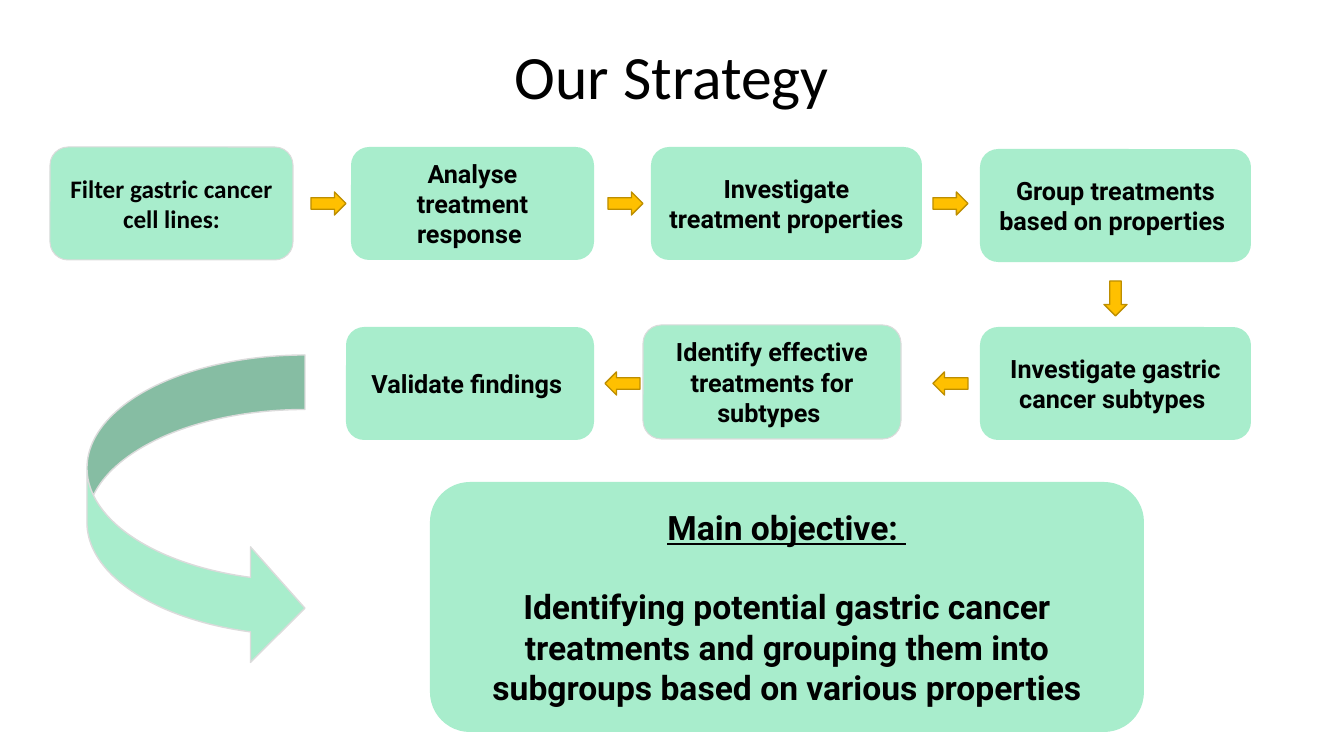
from dataclasses import dataclass

from pptx import Presentation
from pptx import util as u
from pptx.dml.color import RGBColor
from pptx.enum import shapes, text

SCALE = 914400 / 100.8


@dataclass(frozen=True)
class Theme:
    ink: str = "000000"
    mint: str = "A8EDCC"
    edge: str = "DBDBDB"
    amber: str = "FFC000"
    amber_edge: str = "BD8E00"
    title_font: str = "Calibri"
    body_font: str = "Roboto"
    title_size: int = 44
    objective_size: int = 24
    step_size: int = 18


T = Theme()
SHAPE = shapes.MSO_SHAPE


def add_filled(kind, box, fill, edge=None, weight=1):
    sp = s.shapes.add_shape(kind, *(u.Emu(round(v * SCALE)) for v in box))
    sp.shadow.inherit = False
    sp.fill.solid()
    sp.fill.fore_color.rgb = RGBColor.from_string(fill)
    if edge:
        sp.line.color.rgb = RGBColor.from_string(edge)
        sp.line.width = u.Pt(weight)
    else:
        sp.line.fill.background()
    return sp


def set_text(sp, content, font, size, bold=True, anchor=text.MSO_ANCHOR.MIDDLE):
    tf = sp.text_frame
    tf.text = content
    tf.word_wrap = True
    tf.auto_size = text.MSO_AUTO_SIZE.NONE
    tf.vertical_anchor = anchor
    tf.margin_left = tf.margin_right = tf.margin_top = tf.margin_bottom = u.Emu(round(13 * SCALE))
    for p in tf.paragraphs:
        p.alignment = text.PP_ALIGN.CENTER
        for r in p.runs:
            r.font.name = font
            r.font.size = u.Pt(size)
            r.font.bold = bold
            r.font.color.rgb = RGBColor.from_string(T.ink)
    return tf


prs = Presentation()
prs.slide_width = u.Emu(round(1344 * SCALE))
prs.slide_height = u.Emu(round(756 * SCALE))
s = prs.slides.add_slide(prs.slide_layouts[5])

title = s.shapes.title
title.left, title.top, title.width, title.height = (
    u.Emu(round(v * SCALE)) for v in (288, 60, 768, 66))
tf = set_text(title, "Our Strategy", T.title_font, T.title_size, False, text.MSO_ANCHOR.BOTTOM)
tf.paragraphs[0].line_spacing = 0.9

steps = [
    ("Filter gastric cancer cell lines:", (50, 147, 243, 113), T.title_font, T.edge),
    ("Analyse treatment response ", (351, 147, 243, 113), T.body_font, None),
    ("Investigate treatment properties ", (651, 147, 271, 113), T.body_font, None),
    ("Group treatments based on properties ", (980, 149, 271, 113), T.body_font, None),
    ("Investigate gastric cancer subtypes ", (980, 327, 271, 113), T.body_font, None),
    ("Identify effective treatments for subtypes ", (643, 325, 258, 114), T.body_font, T.edge),
    ("Validate findings ", (346, 327, 248, 113), T.body_font, None),
]
for label, box, font, edge in steps:
    step = add_filled(SHAPE.ROUNDED_RECTANGLE, box, T.mint, edge, 0.75)
    step.adjustments[0] = 0.16
    set_text(step, label, font, T.step_size)

arrows = [(311, 192, 0), (608, 192, 0), (933, 192, 0),
          (1098, 287, 90), (933, 372, 180), (605, 372, 180)]
for x, y, turn in arrows:
    arrow = add_filled(SHAPE.RIGHT_ARROW, (x, y, 35, 23), T.amber, T.amber_edge)
    arrow.rotation = turn

curve = add_filled(SHAPE.CURVED_RIGHT_ARROW, (87, 355, 218, 311), T.mint, T.edge)
for i, value in enumerate((0.25, 0.53, 0.25)):
    curve.adjustments[i] = value

objective = add_filled(SHAPE.ROUNDED_RECTANGLE, (430, 482, 714, 250), T.mint)
objective.adjustments[0] = 0.16
tf = set_text(
    objective,
    "Main objective: \nIdentifying potential gastric cancer treatments and grouping them "
    "into subgroups based on various properties",
    T.body_font, T.objective_size)
heading, goal = tf.paragraphs
heading.runs[0].font.underline = True
goal.space_before = u.Pt(28)

prs.save("out.pptx")
